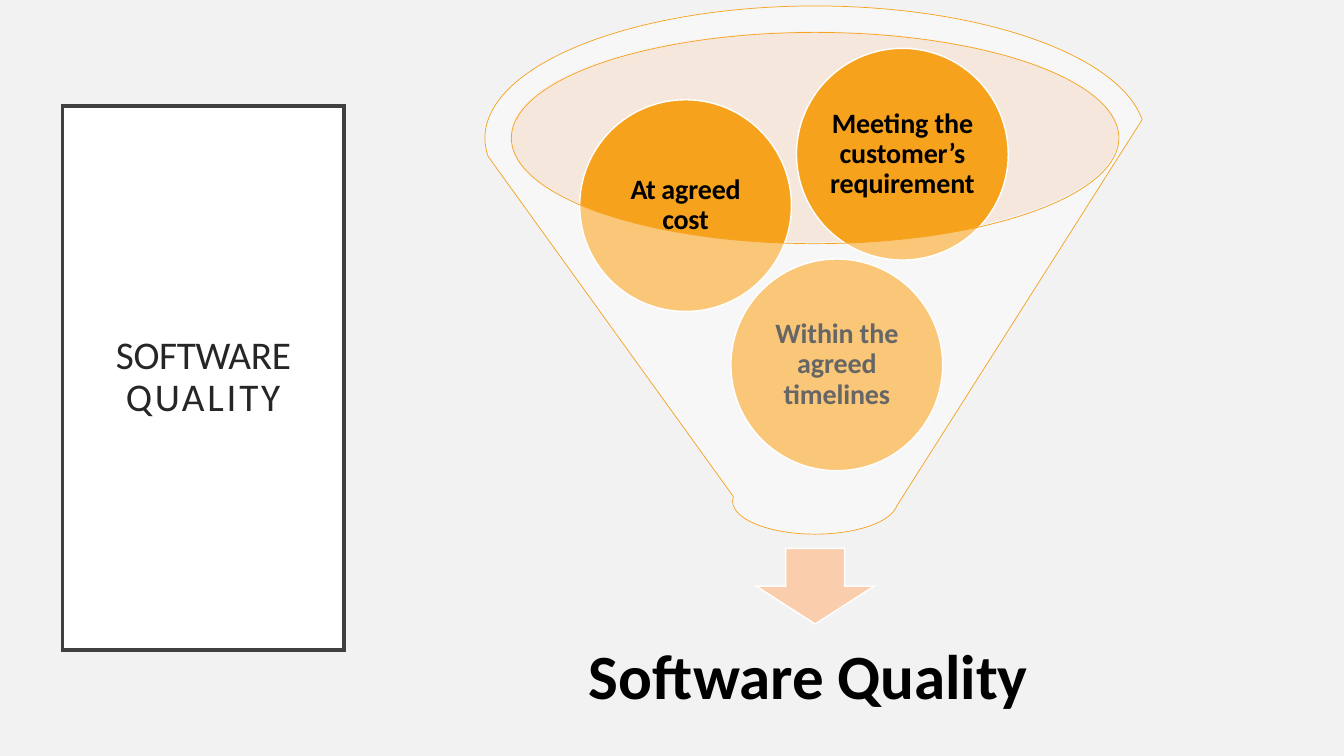
from dataclasses import dataclass

from lxml.etree import SubElement
from pptx import Presentation
from pptx.dml.color import RGBColor as Rgb
from pptx.enum.shapes import MSO_SHAPE as Kind
from pptx.enum.text import MSO_ANCHOR as Anchor, PP_ALIGN as Align
from pptx.oxml.ns import qn
from pptx.shapes.autoshape import Shape
from pptx.util import Inches, Pt

ORANGE = "F6A21D"
WHITE = "FFFFFF"
BLACK = "000000"


@dataclass
class Run:
    text: str
    gap: float = -0.1


@dataclass
class Label:
    runs: list[Run]
    size: float
    inset: float
    color: str = BLACK
    bold: bool = True


@dataclass
class Part:
    kind: Kind
    box: tuple[float, float, float, float]
    fill: str | None = None
    alpha: int = 100
    line: str | None = None
    width: float = 1
    label: Label | None = None


def tint(hue: str) -> Rgb:
    return Rgb.from_string(hue)


def write(shape: Shape, label: Label) -> None:
    frame = shape.text_frame
    frame.word_wrap = True
    frame.vertical_anchor = Anchor.MIDDLE
    frame.margin_left = frame.margin_right = Inches(label.inset)
    frame.margin_top = frame.margin_bottom = Inches(label.inset)
    para = frame.paragraphs[0]
    para.alignment = Align.CENTER
    para.line_spacing = 0.9
    for item in label.runs:
        run = para.add_run()
        run.text = item.text
        font = run.font
        font.name = "Calibri"
        font.size = Pt(label.size)
        font.bold = label.bold
        font.color.rgb = tint(label.color)
        font._element.set("spc", str(round(item.gap * 100)))


def draw(shapes, part: Part) -> None:
    shape = shapes.add_shape(part.kind, *map(Inches, part.box))
    shape.shadow.inherit = False
    if part.fill:
        shape.fill.solid()
        shape.fill.fore_color.rgb = tint(part.fill)
        if part.alpha < 100:
            color = shape._element.spPr.find(".//" + qn("a:srgbClr"))
            SubElement(color, qn("a:alpha")).set("val", str(part.alpha * 1000))
    else:
        shape.fill.background()
    if part.line:
        shape.line.color.rgb = tint(part.line)
        shape.line.width = Pt(part.width)
        edge = shape._element.spPr.find(qn("a:ln"))
        SubElement(edge, qn("a:miter")).set("lim", "800000")
    else:
        shape.line.fill.background()
    if part.label:
        write(shape, part.label)


def ball(left: float, top: float, runs: list[Run]) -> Part:
    return Part(Kind.OVAL, (left, top, 2.1, 2.1), ORANGE, line=WHITE,
                label=Label(runs, 20, 0))


PARTS = [
    Part(Kind.RECTANGLE, (0.62, 1.05, 2.79, 5.4), WHITE, line="404040", width=2.5,
         label=Label([Run("SOFTWARE ", -0.2), Run("QUALITY", 2)], 28, 0.2, "262626", False)),
    Part(Kind.OVAL, (5.06, 0.31, 6.03, 2.09), "FBD7BD", 40),
    Part(Kind.DOWN_ARROW, (7.5, 5.44, 1.17, 0.75), "FACEAC", line=WHITE),
    Part(Kind.RECTANGLE, (5.28, 6.04, 5.61, 1.4),
         label=Label([Run("Software Quality ")], 45, 0.35)),
    ball(7.25, 2.57, [Run("Within the agreed timelines")]),
    ball(5.75, 0.99, [Run("At ", -0.5), Run("agreed "), Run("cost", -0.2)]),
    ball(7.9, 0.48, [Run("Meeting the customer’s requirement ")]),
    Part(Kind.FUNNEL, (4.81, 0.06, 6.55, 5.24), WHITE, 40, ORANGE, 0.5),
]


def main() -> None:
    deck = Presentation()
    deck.slide_width = Inches(13.33)
    deck.slide_height = Inches(7.5)
    slide = deck.slides.add_slide(deck.slide_layouts[6])
    slide.background.fill.solid()
    slide.background.fill.fore_color.rgb = tint("F2F2F2")
    for part in PARTS:
        draw(slide.shapes, part)
    deck.save("out.pptx")


if __name__ == "__main__":
    main()
